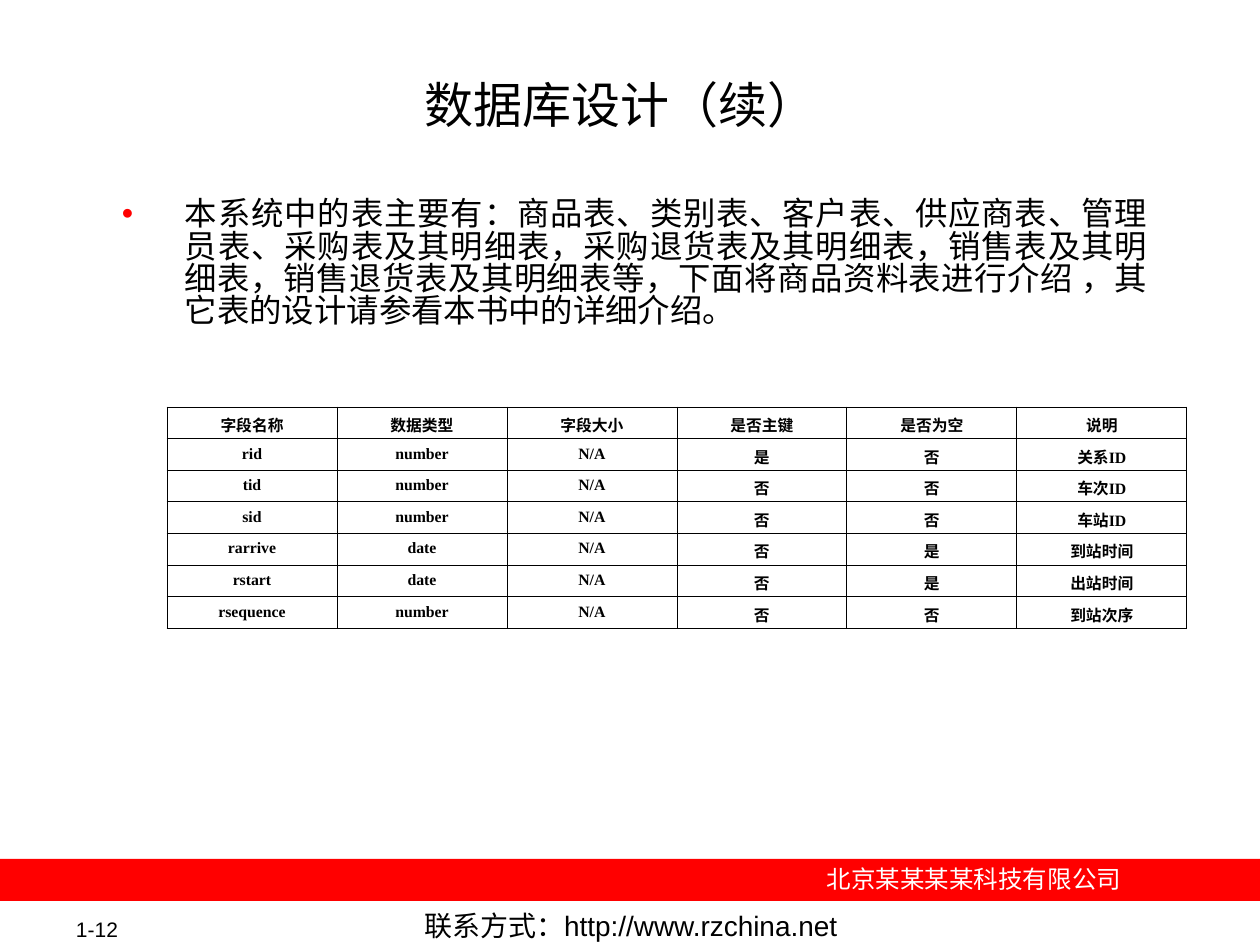
from lxml import etree
from pptx import Presentation
from pptx import util as u
from pptx.dml.color import RGBColor
from pptx.enum import shapes, text
from pptx.oxml.ns import qn

SCALE = 914400 / 126
COLORS = {"black": "000000", "red": "FF0000", "white": "FFFFFF"}
CENTER = text.PP_ALIGN.CENTER
JUSTIFY = text.PP_ALIGN.JUSTIFY
TOP = text.MSO_ANCHOR.TOP
MIDDLE = text.MSO_ANCHOR.MIDDLE


def px(*lengths):
    return [u.Emu(round(length * SCALE)) for length in lengths]


def write(frame, content, size=9, font="Arial", color="black", bold=False,
          align=CENTER, anchor=TOP, wrap=True, inset=(13, 6), spacing=None, bullet=None):
    frame.word_wrap = wrap
    frame.vertical_anchor = anchor
    frame.margin_left, frame.margin_top = px(*inset)
    frame.margin_right, frame.margin_bottom = px(*inset)
    para = frame.paragraphs[0]
    para.alignment = align
    if spacing:
        para.line_spacing = spacing
    if bullet:
        props = para._p.get_or_add_pPr()
        margin, hanging = px(79, 63)
        props.set("marL", str(margin))
        props.set("indent", str(-hanging))
        tint = etree.SubElement(props, qn("a:buClr"))
        etree.SubElement(tint, qn("a:srgbClr"), val=COLORS["red"])
        etree.SubElement(props, qn("a:buFont"), typeface=font)
        etree.SubElement(props, qn("a:buChar"), char=bullet)
    span = para.add_run()
    span.text = content
    span.font.name = font
    span.font.size = u.Pt(size)
    span.font.bold = bold
    span.font.color.rgb = RGBColor.from_string(COLORS[color])


deck = Presentation()
deck.slide_width, deck.slide_height = px(1260, 945)
page = deck.slides.add_slide(deck.slide_layouts[6])

band = page.shapes.add_shape(shapes.MSO_SHAPE.RECTANGLE, *px(0, 859, 1260, 42))
band.shadow.inherit = False
band.fill.solid()
band.fill.fore_color.rgb = RGBColor.from_string(COLORS["red"])
band.line.fill.background()

INTRO = ("本系统中的表主要有：商品表、类别表、客户表、供应商表、管理员表、"
         "采购表及其明细表，采购退货表及其明细表，销售表及其明细表，"
         "销售退货表及其明细表等，下面将商品资料表进行介绍 ，"
         "其它表的设计请参看本书中的详细介绍。")
BOXES = [
    ((63, 917, 134, 25), "1-12", dict(size=12, align=JUSTIFY, anchor=MIDDLE, wrap=False)),
    ((806, 858, 336, 43), "北京某某某某科技有限公司", dict(size=14, color="white")),
    ((348, 912, 566, 27), "联系方式：http://www.rzchina.net",
     dict(size=16, anchor=MIDDLE, wrap=False)),
    ((122, 73, 1008, 121), "数据库设计（续） ", dict(size=28, inset=(1, 1))),
    ((105, 199, 1043, 171), INTRO,
     dict(size=18.5, align=JUSTIFY, inset=(1, 1), spacing=0.83, bullet="•")),
]
for place, content, style in BOXES:
    box = page.shapes.add_textbox(*px(*place))
    write(box.text_frame, content, **style)

FIELDS = [
    ("字段名称", "数据类型", "字段大小", "是否主键", "是否为空", "说明"),
    ("rid", "number", "N/A", "是", "否", "关系ID"),
    ("tid", "number", "N/A", "否", "否", "车次ID"),
    ("sid", "number", "N/A", "否", "否", "车站ID"),
    ("rarrive", "date", "N/A", "否", "是", "到站时间"),
    ("rstart", "date", "N/A", "否", "是", "出站时间"),
    ("rsequence", "number", "N/A", "否", "否", "到站次序"),
]
table = page.shapes.add_table(len(FIELDS), len(FIELDS[0]), *px(167, 407, 1020, 217)).table
table.first_row = False
table.horz_banding = False
for row, values in enumerate(FIELDS):
    for column, value in enumerate(values):
        cell = table.cell(row, column)
        write(cell.text_frame, value, font="Times New Roman", bold=True)
        props = cell._tc.get_or_add_tcPr()
        for side in ("lnL", "lnR", "lnT", "lnB"):
            border = etree.SubElement(props, qn("a:" + side), w=str(u.Pt(0.45)))
            paint = etree.SubElement(border, qn("a:solidFill"))
            etree.SubElement(paint, qn("a:srgbClr"), val=COLORS["black"])
        cell.fill.background()

deck.save("out.pptx")
